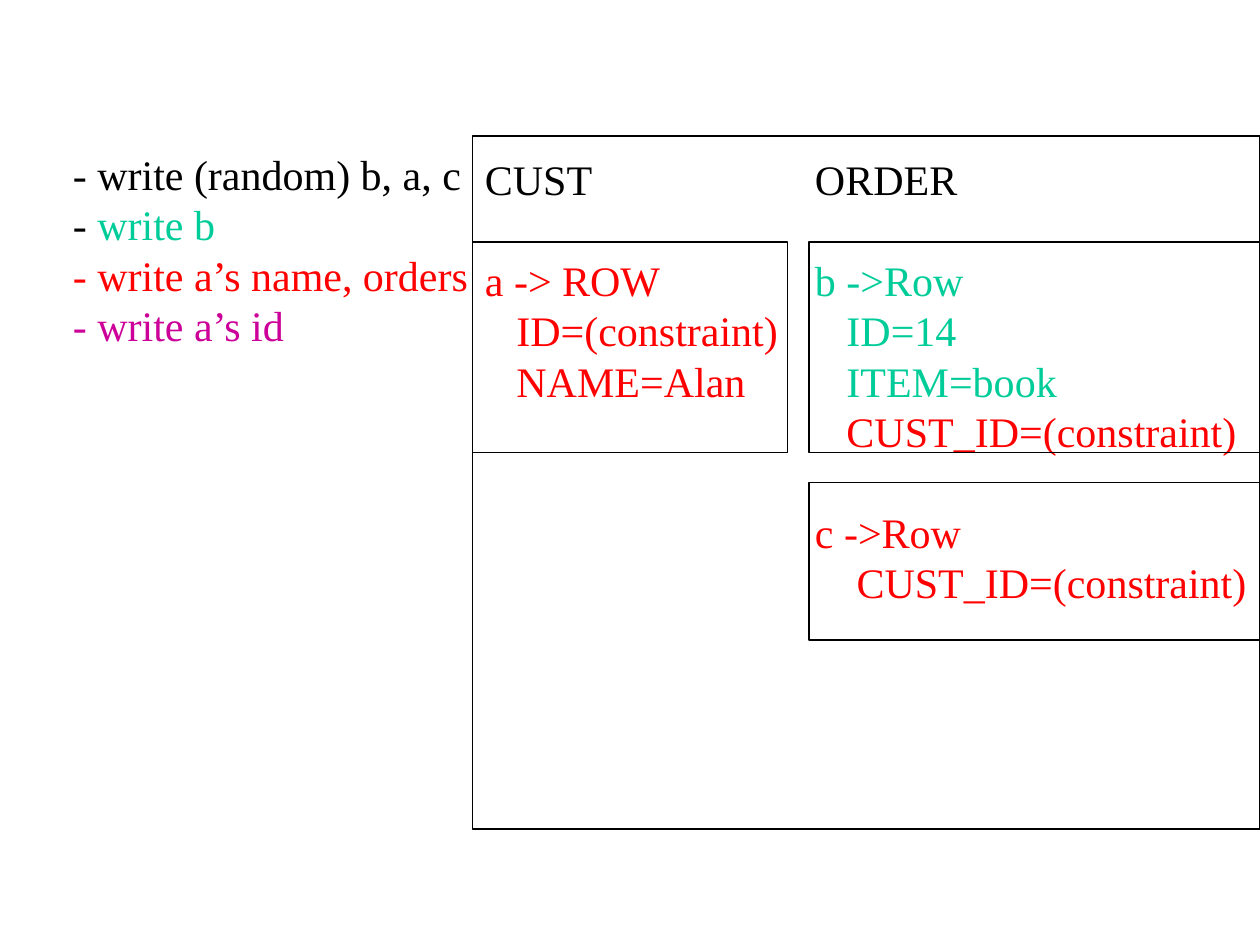
from pptx import Presentation
from pptx.dml.color import RGBColor
from pptx.enum.shapes import MSO_SHAPE
from pptx.util import Inches, Pt

BLACK, RED, GREEN, PURPLE = "000000", "FF0000", "00CC99", "CC0099"
LINE = 28.8


def color(value):
    return RGBColor.from_string(value)


def add_text(p, text, font="Times New Roman", size=24, fill=BLACK):
    r = p.add_run()
    r.text = text
    r.font.name = font
    r.font.size = Pt(size)
    r.font.color.rgb = color(fill)


def para(*runs, indent=0, before=0):
    return runs, indent, before


class Board:
    def __init__(self, slide):
        self.s = slide
        self.line_color = BLACK
        self.line_width = 0.75

    def frame(self, x, y, w, h):
        sp = self.s.shapes.add_shape(
            MSO_SHAPE.RECTANGLE, Inches(x), Inches(y), Inches(w), Inches(h))
        sp.shadow.inherit = False
        sp.fill.background()
        sp.line.color.rgb = color(self.line_color)
        sp.line.width = Pt(self.line_width)

    def text(self, x, y, w, h, paragraphs):
        sp = self.s.shapes.add_textbox(Inches(x), Inches(y), Inches(w), Inches(h))
        tf = sp.text_frame
        tf.word_wrap = True
        tf.margin_right = 0
        for i, (runs, indent, before) in enumerate(paragraphs):
            p = tf.paragraphs[0] if i == 0 else tf.add_paragraph()
            p.line_spacing = Pt(LINE)
            if before:
                p.space_before = Pt(before)
            if indent:
                p._p.get_or_add_pPr().set("marL", str(Inches(indent)))
            for text, fill in runs:
                add_text(p, text, fill=fill)


def main():
    prs = Presentation()
    prs.slide_width, prs.slide_height = Inches(10), Inches(7.5)
    board = Board(prs.slides.add_slide(prs.slide_layouts[6]))

    board.frame(3.75, 1.08, 6.25, 5.5)
    board.text(3.75, 1.17, 2.52, 2.5, [
        para(("CUST", BLACK)),
        para(("a -> ROW", RED), before=LINE),
        para(("ID=(constraint)", RED), indent=0.25),
        para(("NAME=Alan", RED), indent=0.25),
    ])
    board.text(6.37, 1.17, 3.63, 3.7, [
        para(("ORDER", BLACK)),
        para(("b ->Row", GREEN), before=LINE),
        para(("ID=14", GREEN), indent=0.25),
        para(("ITEM=book", GREEN), indent=0.25),
        para(("CUST_ID=(constraint)", RED), indent=0.25),
        para(("c ->Row", RED), before=LINE),
        para(("CUST_ID=(constraint)", RED), indent=0.33),
    ])
    board.text(0.48, 1.13, 3.35, 1.7, [
        para(("- write (random) b, a, c", BLACK)),
        para(("- ", BLACK), ("write b", GREEN)),
        para(("- write a’s name, orders", RED)),
        para(("- write a’s id", PURPLE)),
    ])

    for row in [(3.75, 1.92, 2.5, 1.67), (6.42, 1.92, 3.58, 1.67), (6.42, 3.83, 3.58, 1.25)]:
        board.frame(*row)

    prs.save("out.pptx")


if __name__ == "__main__":
    main()
